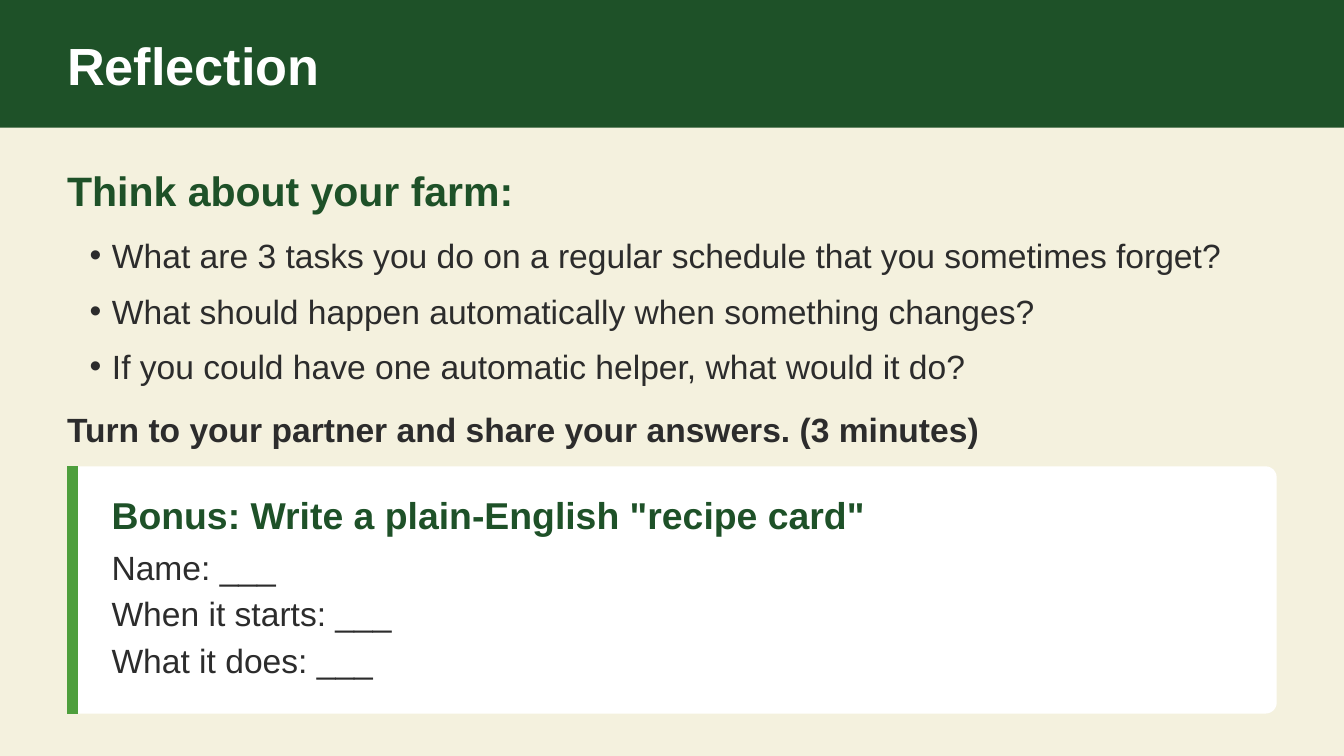
"""Build the Reflection slide with prompts and a bonus recipe card."""
from dataclasses import dataclass

from pptx import Presentation
from pptx import util as u
from pptx.dml.color import RGBColor
from pptx.enum import shapes, text
from pptx.oxml import parse_xml
from pptx.oxml.ns import nsdecls

CREAM = RGBColor(0xF4, 0xF1, 0xDE)
DARK_GREEN = RGBColor(0x1E, 0x51, 0x28)
LEAF_GREEN = RGBColor(0x4E, 0x9F, 0x3D)
INK = RGBColor(0x2C, 0x2C, 0x2C)
WHITE = RGBColor(0xFF, 0xFF, 0xFF)

FONT = "Arial"
SLIDE_WIDTH = 10
SLIDE_HEIGHT = SLIDE_WIDTH * 9 / 16
MARGIN = 0.5
CARD_TEXT = 0.83
CARD_TOP = 3.47
CARD_HEIGHT = 1.84
FIELD_STEP = 0.69 / 2
BULLET_INDENT = 1 / 6


@dataclass
class Style:
    size: float
    color: RGBColor
    bold: bool = False
    after: float = 0


@dataclass
class Label:
    words: str
    left: float
    top: float
    width: float
    height: float
    style: Style


TITLE = Style(28, WHITE, True)
BULLET = Style(18, INK, after=8)
FIELD = Style(18, INK, after=4)

QUESTIONS = [
    "What are 3 tasks you do on a regular schedule that you sometimes forget?",
    "What should happen automatically when something changes?",
    "If you could have one automatic helper, what would it do?",
]
FIELDS = ["Name: ___", "When it starts: ___", "What it does: ___"]
LABELS = [
    Label("Think about your farm:", MARGIN, 1.23, 9.18, 0.35,
          Style(22, DARK_GREEN, True, 12)),
    Label("Turn to your partner and share your answers. (3 minutes)",
          MARGIN, 3.04, 9.18, 0.29, Style(18, INK, True, 10)),
    Label('Bonus: Write a plain-English "recipe card"', CARD_TEXT, 3.66,
          8.59, 0.32, Style(20, DARK_GREEN, True, 6)),
] + [
    Label(words, CARD_TEXT, 4.07 + FIELD_STEP * i, 8.59, 0.29, FIELD)
    for i, words in enumerate(FIELDS)
]


def place(sp, left: float, top: float, width: float, height: float) -> None:
    """Move and size a shape, in inches."""
    sp.left, sp.top = u.Inches(left), u.Inches(top)
    sp.width, sp.height = u.Inches(width), u.Inches(height)


def write(sp, lines: list[str], style: Style, inset: float = 0) -> None:
    """Fill a shape with one styled paragraph per line."""
    tf = sp.text_frame
    tf.word_wrap = True
    tf.auto_size = text.MSO_AUTO_SIZE.NONE
    tf.vertical_anchor = text.MSO_ANCHOR.TOP
    tf.margin_left = u.Inches(inset)
    tf.margin_top = tf.margin_right = tf.margin_bottom = 0
    for i, line in enumerate(lines):
        p = tf.add_paragraph() if i else tf.paragraphs[0]
        p.alignment = text.PP_ALIGN.LEFT
        p.space_before, p.space_after = u.Pt(0), u.Pt(style.after)
        r = p.add_run()
        r.text = line
        r.font.name, r.font.size = FONT, u.Pt(style.size)
        r.font.bold, r.font.color.rgb = style.bold, style.color


def add_bullets(sp) -> None:
    """Give every paragraph a hanging bullet."""
    for p in sp.text_frame.paragraphs:
        pPr = p._p.get_or_add_pPr()
        pPr.set("marL", str(u.Inches(BULLET_INDENT)))
        pPr.set("indent", str(-u.Inches(BULLET_INDENT)))
        pPr.append(parse_xml(f'<a:buChar {nsdecls("a")} char="•"/>'))


def add_label(s, label: Label) -> None:
    """Add a one-line text box."""
    sp = s.shapes.add_textbox(0, 0, 0, 0)
    place(sp, label.left, label.top, label.width, label.height)
    write(sp, [label.words], label.style)


def add_panel(s, kind, left: float, top: float, width: float, height: float,
              color: RGBColor):
    """Add a flat filled shape without outline."""
    sp = s.shapes.add_shape(kind, 0, 0, 0, 0)
    place(sp, left, top, width, height)
    sp.shadow.inherit = False
    sp.fill.solid()
    sp.fill.fore_color.rgb = color
    sp.line.fill.background()
    return sp


def add_accent(s, x: float, top: float, bottom: float) -> None:
    """Add the thick vertical line at the edge of the card."""
    line = s.shapes.add_connector(
        shapes.MSO_CONNECTOR.STRAIGHT,
        u.Inches(x), u.Inches(top), u.Inches(x), u.Inches(bottom))
    line.line.color.rgb = LEAF_GREEN
    line.line.width = u.Pt(6)
    line._element.spPr.append(parse_xml(f'<a:effectLst {nsdecls("a")}/>'))


def main() -> None:
    """Compose and save the slide."""
    prs = Presentation()
    prs.slide_width = u.Inches(SLIDE_WIDTH)
    prs.slide_height = u.Inches(SLIDE_HEIGHT)
    s = prs.slides.add_slide(prs.slide_layouts[1])
    s.background.fill.solid()
    s.background.fill.fore_color.rgb = CREAM

    title, body = s.shapes.title, s.placeholders[1]
    band = add_panel(s, shapes.MSO_SHAPE.RECTANGLE, 0, 0, SLIDE_WIDTH, 0.95,
                     DARK_GREEN)
    title._element.addprevious(band._element)
    place(title, MARGIN, 0.25, 9.18, 0.45)
    write(title, ["Reflection"], TITLE)
    place(body, MARGIN, 1.75, 9, 1.1)
    write(body, QUESTIONS, BULLET, BULLET_INDENT)
    add_bullets(body)

    card = add_panel(s, shapes.MSO_SHAPE.ROUNDED_RECTANGLE, MARGIN, CARD_TOP,
                     9, CARD_HEIGHT, WHITE)
    card.adjustments[0] = 0.045
    add_accent(s, MARGIN + 0.04, CARD_TOP, CARD_TOP + CARD_HEIGHT)
    for label in LABELS:
        add_label(s, label)
    prs.save("out.pptx")


if __name__ == "__main__":
    main()
